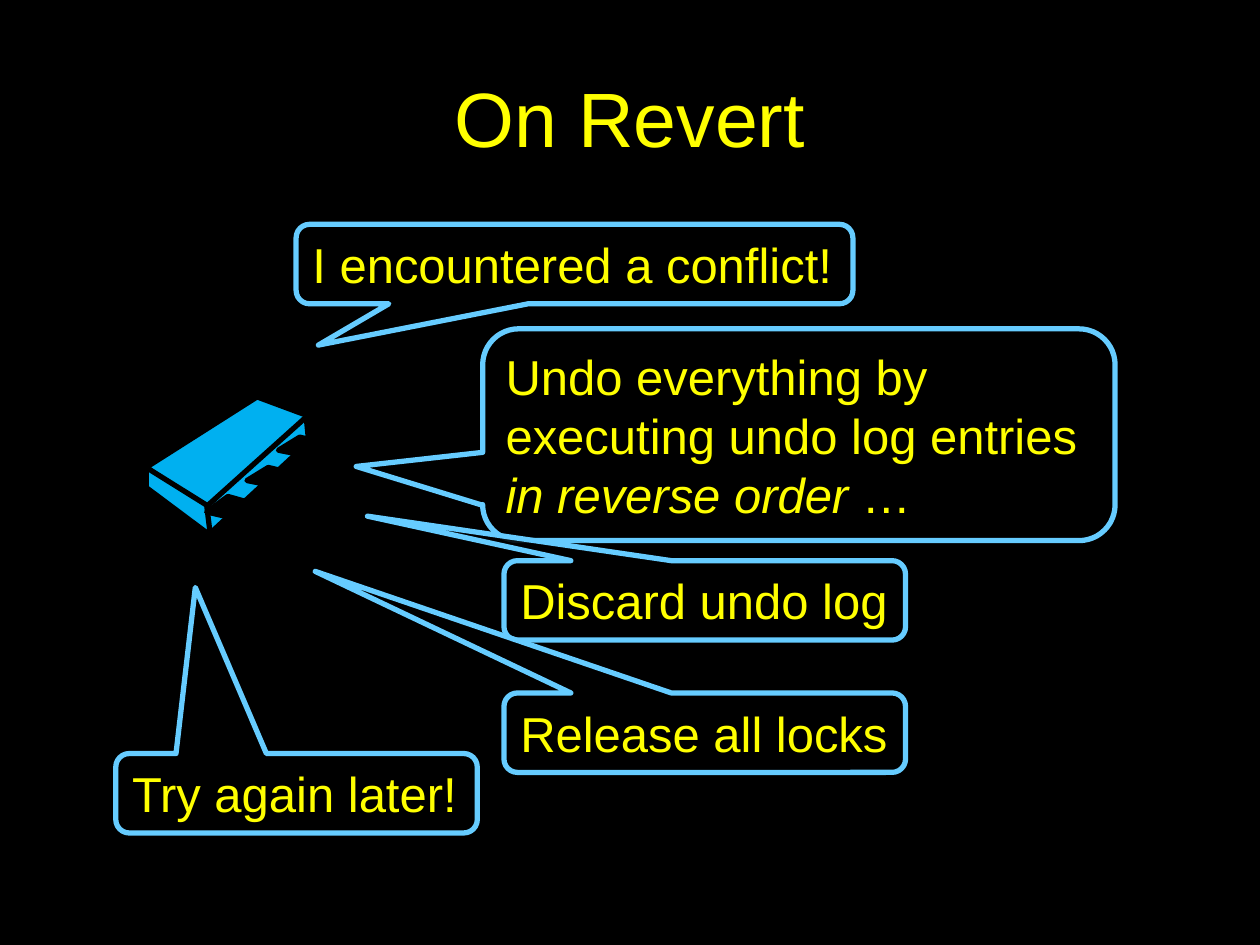
from dataclasses import dataclass

import pptx
import pptx.dml.color
import pptx.enum.shapes
import pptx.enum.text
import pptx.oxml
import pptx.oxml.ns
import pptx.util

Pt = pptx.util.Pt
ANCHOR = pptx.enum.text.MSO_ANCHOR
ALIGN = pptx.enum.text.PP_ALIGN
SIZE = pptx.enum.text.MSO_AUTO_SIZE
CALLOUT = pptx.enum.shapes.MSO_SHAPE.ROUNDED_RECTANGULAR_CALLOUT

COLORS = {"black": "000000", "text": "FFFF00", "edge": "66CCFF", "table": "00B0F0"}

Point = tuple[float, float]


@dataclass
class Leg:
    outline: list[Point]
    left: float
    top: float
    stretch: float = 1


@dataclass
class Bubble:
    words: list[str]  # every second piece is italic
    left: float
    top: float
    width: float
    height: float
    tip: Point  # from the centre, as shares of the size
    wrap: bool = False


BACK = [(17, 6), (6, 0), (0, 6), (0, 40), (6, 34), (6, 11.5), (17, 17.5)]
FRONT = [(12.2, 0), (0, 7.5), (20.2, 11.5), (20.2, 34), (28.1, 26.6), (28.1, 3.8)]

BACK_LEGS = [Leg(BACK, 119.5, 225.4), Leg(BACK, 77.8, 255.6), Leg(BACK, 103, 238.3)]
FRONT_LEGS = [
    Leg(FRONT, 118.1, 283.7, 1.18),
    Leg(FRONT, 141.1, 267.1),
    Leg(FRONT, 159.1, 249.8),
]
BOARDS = [
    [(146.9, 226.8), (83.5, 267.1), (118.8, 290.9), (177.8, 238.3)],
    [(175, 238.3), (118.1, 289.4), (118.8, 306), (176.4, 252.7)],
    [(83.5, 267.1), (83.5, 278.6), (120.2, 306), (118.1, 288.7)],
]

BUBBLES = [
    Bubble(["I encountered a conflict!"], 169.2, 128.2, 318.2, 45.4, (-0.46, 1.02)),
    Bubble(
        ["Undo everything by executing undo log entries ", "in reverse order ", "…"],
        275.8, 187.9, 361.4, 121, (-0.7, 0.15), True,
    ),
    Bubble(["Discard undo log"], 288, 320.4, 229.5, 45.4, (-0.84, -1.06)),
    Bubble(["Release all locks"], 288, 396, 229.5, 45.4, (-0.97, -2.03)),
    Bubble(["Try again later!"], 66.2, 430.6, 206.6, 45.4, (-0.28, -2.59)),
]


def color(name: str) -> pptx.dml.color.RGBColor:
    return pptx.dml.color.RGBColor.from_string(COLORS[name])


def paint(shape, fill: str, edge: str) -> None:
    shape.shadow.inherit = False
    shape.fill.solid()
    shape.fill.fore_color.rgb = color(fill)
    shape.line.color.rgb = color(edge)
    shape.line.width = Pt(3)


def style(run, size: float) -> None:
    run.font.name = "Arial"
    run.font.size = Pt(size)
    run.font.color.rgb = color("text")


def draw_outline(group, points: list[Point], fill: str) -> None:
    first, *rest = [(Pt(x), Pt(y)) for x, y in points]
    pen = group.shapes.build_freeform(*first)
    pen.add_line_segments(rest, close=True)
    paint(pen.convert_to_shape(), fill, "black")


def draw_leg(group, leg: Leg) -> None:
    points = [(leg.left + x, leg.top + y * leg.stretch) for x, y in leg.outline]
    draw_outline(group, points, "black")


def draw_table(slide) -> None:
    """Draw the small table that the bubbles point to."""
    group = slide.shapes.add_group_shape()
    for leg in BACK_LEGS:
        draw_leg(group, leg)
    for board in BOARDS:
        draw_outline(group, board, "table")
    for leg in FRONT_LEGS:
        draw_leg(group, leg)


def draw_bubble(slide, bubble: Bubble) -> None:
    box = (bubble.left, bubble.top, bubble.width, bubble.height)
    shape = slide.shapes.add_shape(CALLOUT, *map(Pt, box))
    for index, value in enumerate((*bubble.tip, 0.17)):
        shape.adjustments[index] = value
    paint(shape, "black", "edge")
    tint = shape.element.find(".//" + pptx.oxml.ns.qn("a:srgbClr"))
    tint.append(pptx.oxml.parse_xml(
        f'<a:alpha {pptx.oxml.ns.nsdecls("a")} val="90000"/>'))

    frame = shape.text_frame
    frame.word_wrap = bubble.wrap
    frame.auto_size = SIZE.SHAPE_TO_FIT_TEXT
    frame.vertical_anchor = ANCHOR.MIDDLE
    line = frame.paragraphs[0]
    line.alignment = ALIGN.LEFT
    for index, text in enumerate(bubble.words):
        run = line.add_run()
        run.text = text
        style(run, 28)
        run.font.italic = index % 2 == 1


def draw_title(slide, text: str) -> None:
    frame = slide.shapes.add_textbox(Pt(36), Pt(21.6), Pt(648), Pt(90)).text_frame
    frame.word_wrap = True
    frame.vertical_anchor = ANCHOR.MIDDLE
    frame.text = text
    line = frame.paragraphs[0]
    line.alignment = ALIGN.CENTER
    style(line.runs[0], 44)


def main() -> None:
    deck = pptx.Presentation()
    deck.slide_width, deck.slide_height = Pt(720), Pt(540)
    slide = deck.slides.add_slide(deck.slide_layouts[6])
    slide.background.fill.solid()
    slide.background.fill.fore_color.rgb = color("black")
    draw_title(slide, "On Revert")
    draw_table(slide)
    for bubble in BUBBLES:
        draw_bubble(slide, bubble)
    deck.save("out.pptx")


if __name__ == "__main__":
    main()
